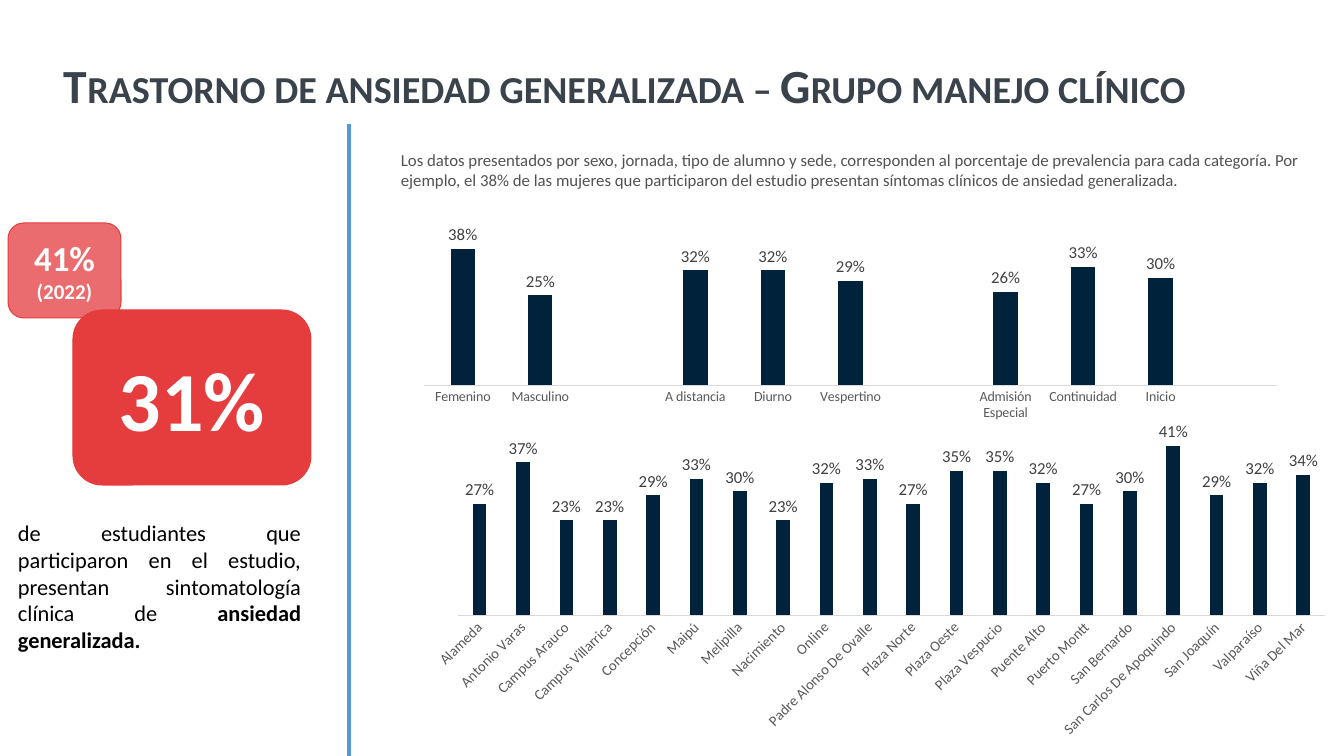
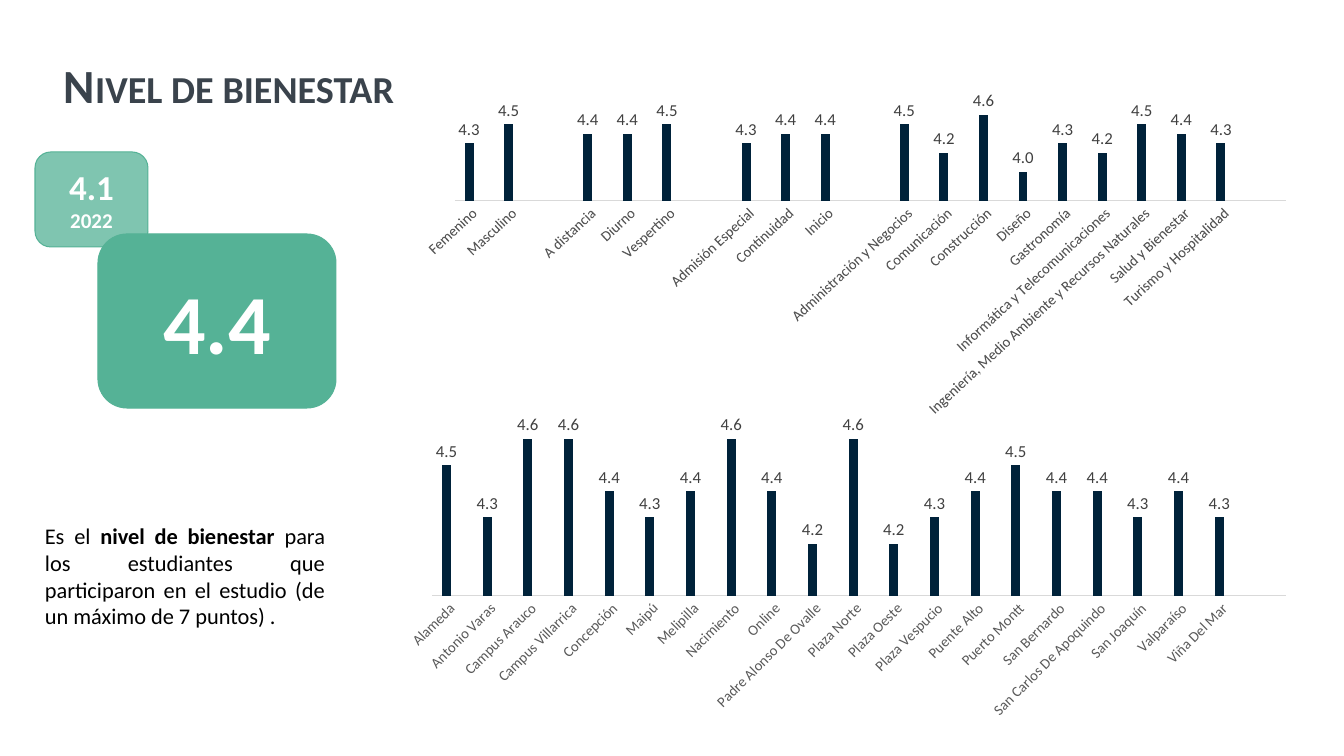
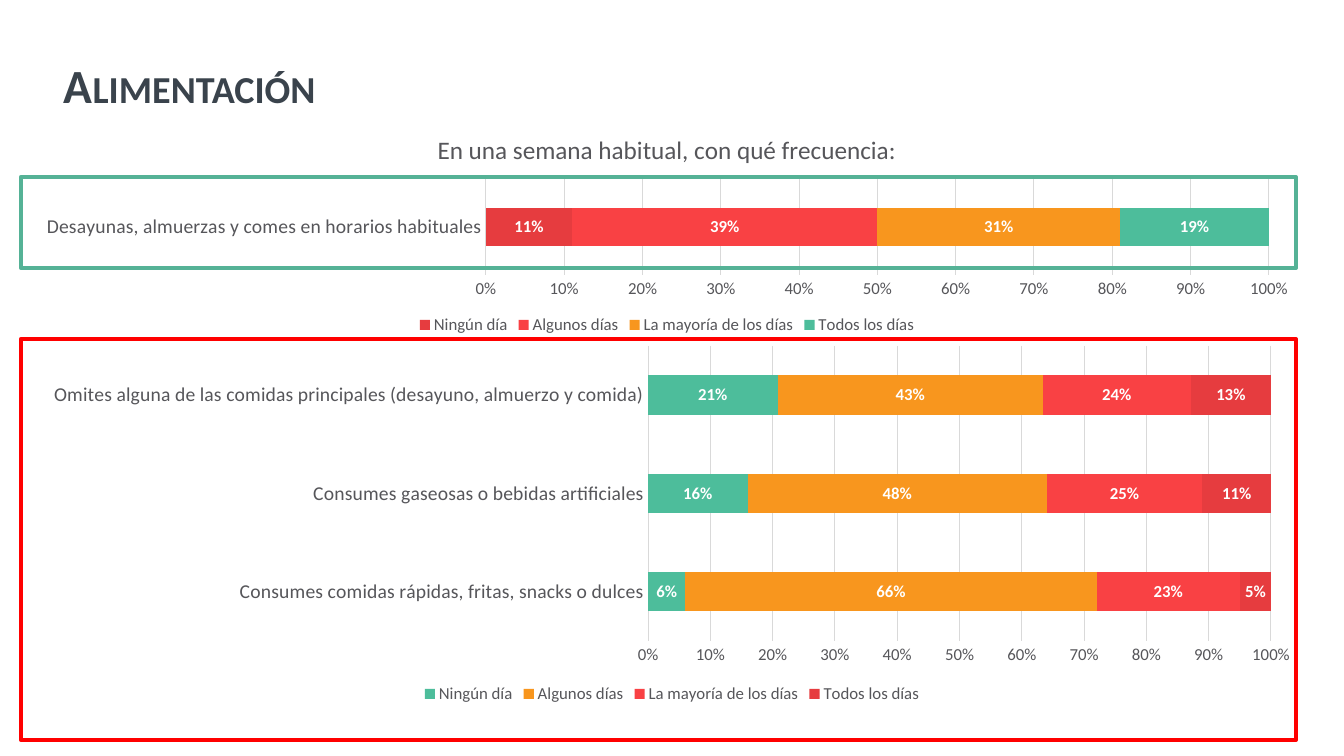
from lxml import etree
from pptx import Presentation
from pptx.chart.data import CategoryChartData
from pptx.dml.color import RGBColor
from pptx.enum.chart import XL_CHART_TYPE as ChartType
from pptx.enum.chart import XL_LABEL_POSITION as LabelPosition
from pptx.enum.chart import XL_LEGEND_POSITION as LegendPosition
from pptx.enum.chart import XL_TICK_MARK as TickMark
from pptx.enum.shapes import MSO_CONNECTOR as Connector
from pptx.enum.shapes import MSO_SHAPE as Shape
from pptx.enum.text import MSO_ANCHOR as Anchor
from pptx.enum.text import PP_ALIGN as Align
from pptx.oxml.ns import qn
from pptx.util import Emu, Pt

EMU_PER_PX = 914400 / 100.8
SLIDE_SIZE = (1344, 756)
FONT = "Calibri"

BLACK, WHITE = "000000", "FFFFFF"
TITLE_COLOR = "3A434C"
NOTE_COLOR = "525252"
RED, GREEN = "E53C3E", "55B296"
FRAME_RED = "FF0000"
DIVIDER_BLUE = "5698D3"
BAR_NAVY = "00223A"
GRID_GRAY, AXIS_GRAY, LABEL_GRAY = "D9D9D9", "595959", "404040"
CHART_GRAY = "56565A"
FREQUENCY_COLORS = ["4DBD9B", "F8961E", "F94144", "E63C3F"]
FREQUENCIES = ["Ningún día", "Algunos días", "La mayoría de los días", "Todos los días"]

CAMPUSES = [
    "Alameda", "Antonio Varas", "Campus Arauco", "Campus Villarrica", "Concepción",
    "Maipú", "Melipilla", "Nacimiento", "Online", "Padre Alonso De Ovalle",
    "Plaza Norte", "Plaza Oeste", "Plaza Vespucio", "Puente Alto", "Puerto Montt",
    "San Bernardo", "San Carlos De Apoquindo", "San Joaquín", "Valparaíso", "Viña Del Mar",
]
GAP = " "
PROFILES = [
    "Femenino", "Masculino", GAP, "A distancia", "Diurno", "Vespertino", GAP,
    "Admisión Especial", "Continuidad", "Inicio", GAP,
]
SCHOOLS = [
    "Administración y Negocios", "Comunicación", "Construcción", "Diseño", "Gastronomía",
    "Informática y Telecomunicaciones", "Ingeniería, Medio Ambiente y Recursos Naturales",
    "Salud y Bienestar", "Turismo y Hospitalidad", GAP,
]


def px(*lengths):
    return [Emu(round(length * EMU_PER_PX)) for length in lengths]


def color(hex_text):
    return RGBColor.from_string(hex_text)


def set_font(font, size, hex_text, bold=False):
    font.name = FONT
    font.size = Pt(size)
    font.bold = bold
    font.color.rgb = color(hex_text)


def set_line(line, hex_text, width=0.75):
    line.color.rgb = color(hex_text)
    line.width = Pt(width)


def add_text(slide, area, runs, size, hex_text, align=Align.LEFT, bold=False):
    """Add a one-paragraph box; runs are (text, is_bold) pairs or a plain string."""
    frame = slide.shapes.add_textbox(*px(*area)).text_frame
    frame.word_wrap = True
    para = frame.paragraphs[0]
    para.alignment = align
    set_font(para.font, size, hex_text, bold)
    if isinstance(runs, str):
        para.text = runs
    else:
        for text, is_bold in runs:
            run = para.add_run()
            run.text = text
            run.font.bold = is_bold
    return frame


def add_title(slide, text):
    frame = add_text(slide, (54, 41, 1283, 95), text, 34, TITLE_COLOR, bold=True)
    frame.vertical_anchor = Anchor.MIDDLE
    para = frame.paragraphs[0]
    para.line_spacing = 0.9
    para._p.pPr.find(qn("a:defRPr")).set("cap", "small")


def add_badge(slide, area, lines, hex_text, opacity=100):
    """Add a rounded box with centred (text, size) lines."""
    badge = slide.shapes.add_shape(Shape.ROUNDED_RECTANGLE, *px(*area))
    badge.shadow.inherit = False
    badge.fill.solid()
    badge.fill.fore_color.rgb = color(hex_text)
    set_line(badge.line, hex_text)
    if opacity < 100:
        fill_color = badge._element.spPr.find(qn("a:solidFill"))[0]
        etree.SubElement(fill_color, qn("a:alpha")).set("val", str(opacity * 1000))
    frame = badge.text_frame
    frame.vertical_anchor = Anchor.MIDDLE
    for index, (text, size) in enumerate(lines):
        para = frame.add_paragraph() if index else frame.paragraphs[0]
        para.text = text
        para.alignment = Align.CENTER
        set_font(para.font, size, WHITE, bold=True)


def add_frame(slide, area, hex_text):
    frame = slide.shapes.add_shape(Shape.RECTANGLE, *px(*area))
    frame.shadow.inherit = False
    frame.fill.background()
    set_line(frame.line, hex_text, 3)


def add_divider(slide, x, top, bottom):
    divider = slide.shapes.add_connector(Connector.STRAIGHT, *px(x, top, x, bottom))
    set_line(divider.line, DIVIDER_BLUE, 3)
    etree.SubElement(divider._element.spPr, qn("a:effectLst"))


def place_part(part, chart_area, part_area, inner=False):
    """Fix a chart part at slide coordinates: left, top and, if given, width, height."""
    left, top, width, height = chart_area
    shares = [(part_area[0] - left) / width, (part_area[1] - top) / height]
    if len(part_area) == 4:
        shares += [part_area[2] / width, part_area[3] / height]
    for old_layout in part.findall(qn("c:layout")):
        part.remove(old_layout)
    layout = etree.Element(qn("c:layout"))
    manual = etree.SubElement(layout, qn("c:manualLayout"))
    settings = [("layoutTarget", "inner")] if inner else []
    settings += [("xMode", "edge"), ("yMode", "edge")]
    settings += [(name, f"{share:.4f}") for name, share in zip("xywh", shares)]
    for name, value in settings:
        etree.SubElement(manual, qn(f"c:{name}")).set("val", value)
    text = part.find(qn("c:tx"))
    if text is None:
        part.insert(0, layout)
    else:
        text.addnext(layout)


def add_chart(slide, kind, area, plot_area, categories, series, limits):
    """Add a chart without title or legend; series are (name, values) pairs."""
    data = CategoryChartData()
    data.categories = categories
    for name, values in series:
        data.add_series(name, values)
    chart = slide.shapes.add_chart(kind, *px(*area), data).chart
    chart.has_title = False
    chart.has_legend = False
    set_font(chart.font, 12, CHART_GRAY)
    chart.plots[0].vary_by_categories = False
    chart.value_axis.minimum_scale, chart.value_axis.maximum_scale = limits
    for axis in (chart.category_axis, chart.value_axis):
        axis.major_tick_mark = axis.minor_tick_mark = TickMark.NONE
    chart.category_axis.has_major_gridlines = False
    set_line(chart.category_axis.format.line, GRID_GRAY)
    place_part(chart._chartSpace.chart.plotArea, area, plot_area, inner=True)
    return chart


def style_plot(chart, colors, gap, overlap, number_format, position, label_color, bold=False):
    plot = chart.plots[0]
    plot.gap_width, plot.overlap = gap, overlap
    for series, hex_text in zip(plot.series, colors):
        series.format.fill.solid()
        series.format.fill.fore_color.rgb = color(hex_text)
        series.invert_if_negative = False
        labels = series.data_labels
        labels.show_value = True
        labels.number_format = number_format
        labels.number_format_is_linked = False
        labels.position = position
        set_font(labels.font, 12, label_color, bold)


def add_columns(slide, area, plot_area, categories, values, limits, number_format,
                size=10.5, degrees=-45, spare_series=False):
    """Add a navy column chart; a spare empty series makes its columns thinner."""
    series = [("Series 1", values)]
    if spare_series:
        series.append(("Series 2", [None] * len(values)))
    chart = add_chart(slide, ChartType.COLUMN_CLUSTERED, area, plot_area,
                      categories, series, limits)
    style_plot(chart, [BAR_NAVY] * len(series), 219, -27, number_format,
               LabelPosition.OUTSIDE_END, LABEL_GRAY)
    chart.value_axis.has_major_gridlines = False
    chart.value_axis.visible = False
    set_font(chart.category_axis.tick_labels.font, size, AXIS_GRAY)
    text_body = chart.category_axis._element.find(qn("c:txPr"))
    text_body.find(qn("a:bodyPr")).set("rot", str(degrees * 60000))


def add_frequency_bars(slide, area, plot_area, answers, colors):
    """Add a 100 % bar chart; answers map each question to its four shares."""
    series = list(zip(FREQUENCIES, zip(*answers.values())))
    chart = add_chart(slide, ChartType.BAR_STACKED_100, area, plot_area,
                      list(answers), series, (0, 1))
    style_plot(chart, colors, 150, 100, "0%", LabelPosition.CENTER, WHITE, bold=True)
    set_font(chart.category_axis.tick_labels.font, 14, CHART_GRAY)
    axis = chart.value_axis
    axis.major_unit = 0.1
    axis.has_major_gridlines = True
    set_line(axis.major_gridlines.format.line, GRID_GRAY)
    axis.format.line.fill.background()
    axis.tick_labels.number_format = "0%"
    axis.tick_labels.number_format_is_linked = False
    set_font(axis.tick_labels.font, 12, CHART_GRAY)
    chart.has_legend = True
    chart.legend.position = LegendPosition.BOTTOM
    chart.legend.include_in_layout = False
    set_font(chart.legend.font, 12, CHART_GRAY)
    return chart


def build_anxiety(slide):
    add_title(slide, "Trastorno de ansiedad generalizada – Grupo manejo clínico")
    add_text(slide, (391, 145, 933, 50),
             "Los datos presentados por sexo, jornada, tipo de alumno y sede, corresponden al "
             "porcentaje de prevalencia para cada categoría. Por ejemplo, el 38% de las mujeres "
             "que participaron del estudio presentan síntomas clínicos de ansiedad generalizada.",
             12, NOTE_COLOR)
    add_columns(slide, (406, 225, 888, 198), (424, 241, 853, 144), PROFILES,
                [0.38, 0.25, None, 0.32, 0.32, 0.29, None, 0.26, 0.33, 0.3, None],
                (0, 0.4), "0%", size=10, degrees=0)
    add_divider(slide, 349, 124, 756)
    add_badge(slide, (8, 223, 113, 95), [("41%", 25), ("(2022)", 15)], RED, opacity=75)
    add_badge(slide, (73, 310, 238, 175), [("31%", 60)], RED)
    add_text(slide, (8, 514, 303, 146),
             [("de estudiantes que participaron en el estudio, presentan sintomatología "
               "clínica de ", False), ("ansiedad generalizada.", True)],
             16, BLACK, Align.JUSTIFY)
    add_columns(slide, (417, 422, 926, 323), (458, 429, 867, 186), CAMPUSES,
                [0.27, 0.37, 0.23, 0.23, 0.29, 0.33, 0.3, 0.23, 0.32, 0.33,
                 0.27, 0.35, 0.35, 0.32, 0.27, 0.3, 0.41, 0.29, 0.32, 0.34],
                (0, 0.45), "0%")


def build_wellbeing(slide):
    add_title(slide, "Nivel de bienestar")
    add_columns(slide, (390, 404, 914, 323), (432, 413, 854, 183), CAMPUSES + [GAP],
                [4.5, 4.3, 4.6, 4.6, 4.4, 4.3, 4.4, 4.6, 4.4, 4.2,
                 4.6, 4.2, 4.3, 4.4, 4.5, 4.4, 4.4, 4.3, 4.4, 4.3, None],
                (4, 4.7), "0.0", spare_series=True)
    add_columns(slide, (409, 91, 896, 360), (455, 103, 831, 96), PROFILES + SCHOOLS,
                [4.3, 4.5, None, 4.4, 4.4, 4.5, None, 4.3, 4.4, 4.4, None,
                 4.5, 4.2, 4.6, 4, 4.3, 4.2, 4.5, 4.4, 4.3, None],
                (3.7, 4.7), "0.0", degrees=-43, spare_series=True)
    add_text(slide, (35, 517, 300, 119),
             [("Es el ", False), ("nivel de bienestar", True),
              (" para los estudiantes que participaron en el estudio "
               "(de un máximo de 7 puntos) .", False)],
             16, BLACK, Align.JUSTIFY)
    add_badge(slide, (35, 152, 113, 95), [("4.1", 25), ("2022", 15)], GREEN, opacity=75)
    add_badge(slide, (98, 234, 238, 174), [("4.4", 60)], GREEN)


def build_eating(slide):
    add_title(slide, "Alimentación")
    habits_area = (21, 118, 1292, 221)
    habits = add_frequency_bars(
        slide, habits_area, (486, 179, 783, 96),
        {"Desayunas, almuerzas y comes en horarios habituales": (0.11, 0.39, 0.31, 0.19)},
        FREQUENCY_COLORS[::-1])
    habits.has_title = True
    para = habits.chart_title.text_frame.paragraphs[0]
    para.text = "En una semana habitual, con qué frecuencia:"
    set_font(para.font, 18, CHART_GRAY)
    place_part(habits.chart_title._element, habits_area, (433, 128))
    add_frame(slide, (21, 177, 1275, 91), GREEN)
    add_frame(slide, (21, 339, 1275, 401), FRAME_RED)
    add_frequency_bars(
        slide, (28, 339, 1288, 369), (648, 346, 623, 295),
        {
            "Consumes comidas rápidas, fritas, snacks o dulces": (0.06, 0.66, 0.23, 0.05),
            "Consumes gaseosas o bebidas artificiales": (0.16, 0.48, 0.25, 0.11),
            "Omites alguna de las comidas principales (desayuno, almuerzo y comida)":
                (0.21, 0.43, 0.24, 0.13),
        },
        FREQUENCY_COLORS)


def main():
    deck = Presentation()
    deck.slide_width, deck.slide_height = px(*SLIDE_SIZE)
    blank = deck.slide_layouts[6]
    for build in (build_anxiety, build_wellbeing, build_eating):
        build(deck.slides.add_slide(blank))
    deck.save("out.pptx")


if __name__ == "__main__":
    main()
